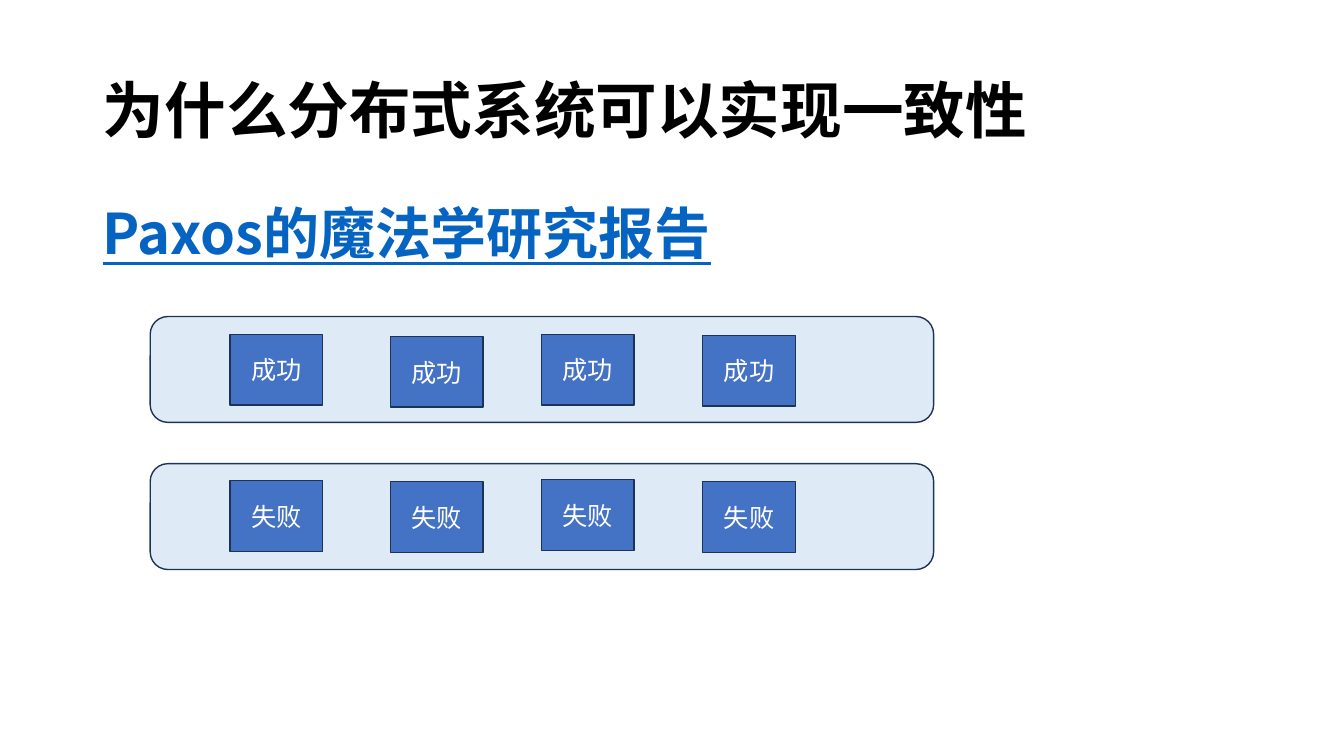
from lxml import etree
from pptx import Presentation
from pptx.dml.color import RGBColor
from pptx.enum import shapes, text
from pptx.oxml.ns import qn
from pptx.util import Inches, Pt

FONT = "Noto Sans CJK SC"
BLACK = RGBColor(0x00, 0x00, 0x00)
WHITE = RGBColor(0xFF, 0xFF, 0xFF)
LINK = RGBColor(0x05, 0x63, 0xC1)
PALE = RGBColor(0xDE, 0xEB, 0xF7)
BLUE = RGBColor(0x44, 0x72, 0xC4)
NAVY = RGBColor(0x1E, 0x32, 0x56)

COLS = [(2.28, 3.32, 4.77), (3.87, 3.34, 4.78), (5.37, 3.32, 4.76), (6.97, 3.33, 4.78)]


def add_run(para, words, size, color, bold=False, under=False):
    """Add one run with the same Latin and East Asian font."""
    run = para.add_run()
    run.text = words
    font = run.font
    font.size, font.bold, font.underline = Pt(size), bold, under
    font.color.rgb = color
    font.name = FONT
    etree.SubElement(font._element, qn("a:ea")).set("typeface", FONT)


def set_head(shape, top, height, anchor, words, size, color, under=False):
    """Place a wide text shape and fill in its bold line."""
    shape.left, shape.top = Inches(0.92), Inches(top)
    shape.width, shape.height = Inches(11.5), Inches(height)
    frame = shape.text_frame
    frame.word_wrap = True
    frame.auto_size = text.MSO_AUTO_SIZE.NONE
    frame.vertical_anchor = anchor
    para = frame.paragraphs[0]
    para.alignment = text.PP_ALIGN.LEFT
    para.line_spacing = 0.9
    add_run(para, words, size, color, True, under)
    return para


def add_box(slide, kind, left, top, width, height, fill):
    """Add a filled shape with a thin navy outline."""
    box = slide.shapes.add_shape(kind, Inches(left), Inches(top), Inches(width), Inches(height))
    box.shadow.inherit = False
    box.fill.solid()
    box.fill.fore_color.rgb = fill
    box.line.color.rgb = NAVY
    box.line.width = Pt(1)
    return box


def add_node(slide, left, top, words):
    """Add a blue node with a centred label."""
    box = add_box(slide, shapes.MSO_SHAPE.RECTANGLE, left, top, 0.92, 0.7, BLUE)
    box.text_frame.vertical_anchor = text.MSO_ANCHOR.MIDDLE
    para = box.text_frame.paragraphs[0]
    para.alignment = text.PP_ALIGN.CENTER
    add_run(para, words, 18, WHITE)


def main():
    """Build and save the slide."""
    deck = Presentation()
    deck.slide_width, deck.slide_height = Inches(13.33), Inches(7.5)
    slide = deck.slides.add_slide(deck.slide_layouts[5])
    set_head(slide.shapes.title, 0.4, 1.45, text.MSO_ANCHOR.MIDDLE,
             "为什么分布式系统可以实现一致性", 44, BLACK)
    body = slide.shapes.add_textbox(0, 0, 0, 0)
    para = set_head(body, 2, 4.76, text.MSO_ANCHOR.TOP,
                    "Paxos的魔法学研究报告", 40, LINK, True)
    para.space_before = Pt(10)
    for top in (3.14, 4.6):
        add_box(slide, shapes.MSO_SHAPE.ROUNDED_RECTANGLE, 1.49, top, 7.77, 1.05, PALE)
    for left, high, low in COLS:
        add_node(slide, left, high, "成功")
        add_node(slide, left, low, "失败")
    deck.save("out.pptx")


if __name__ == "__main__":
    main()
